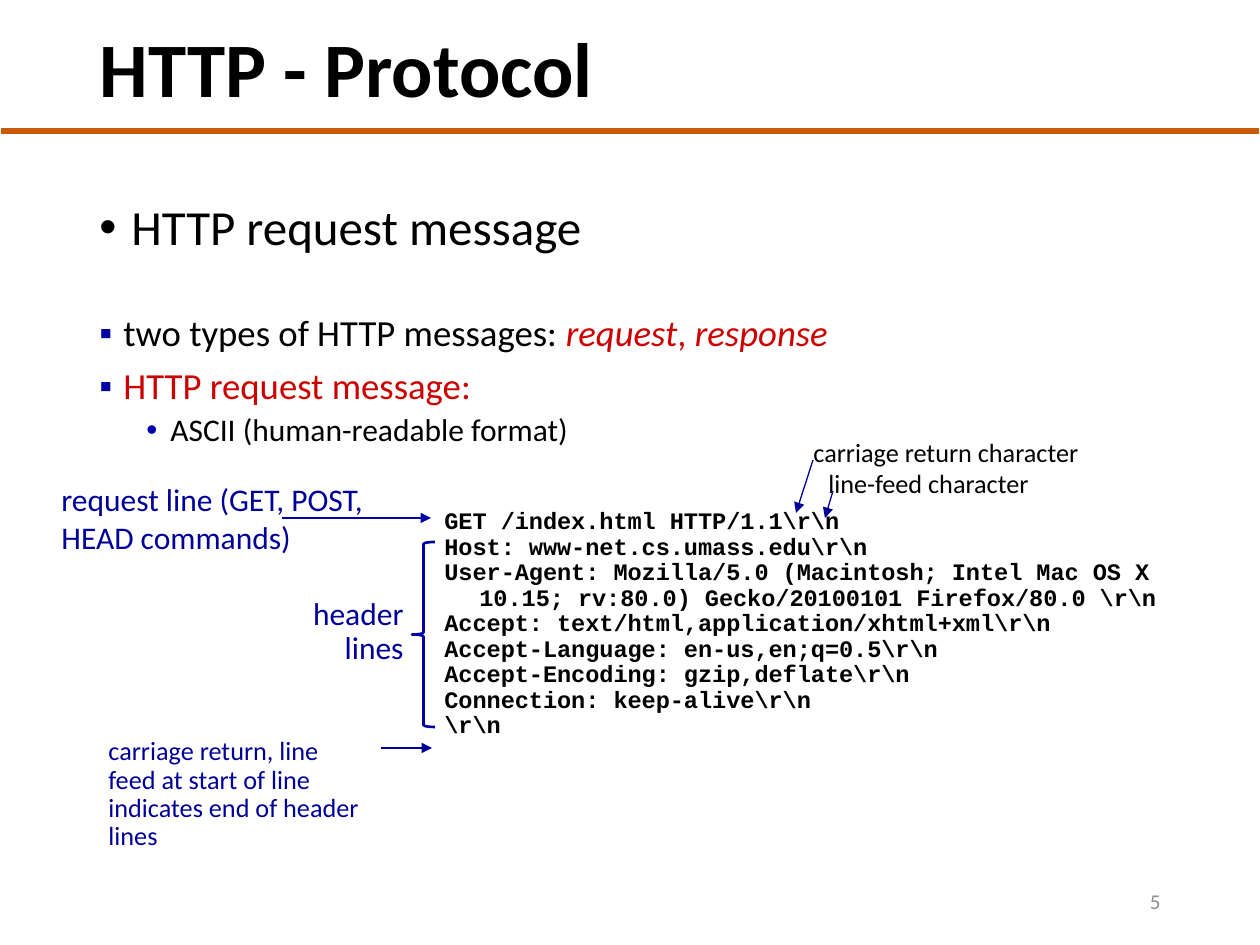
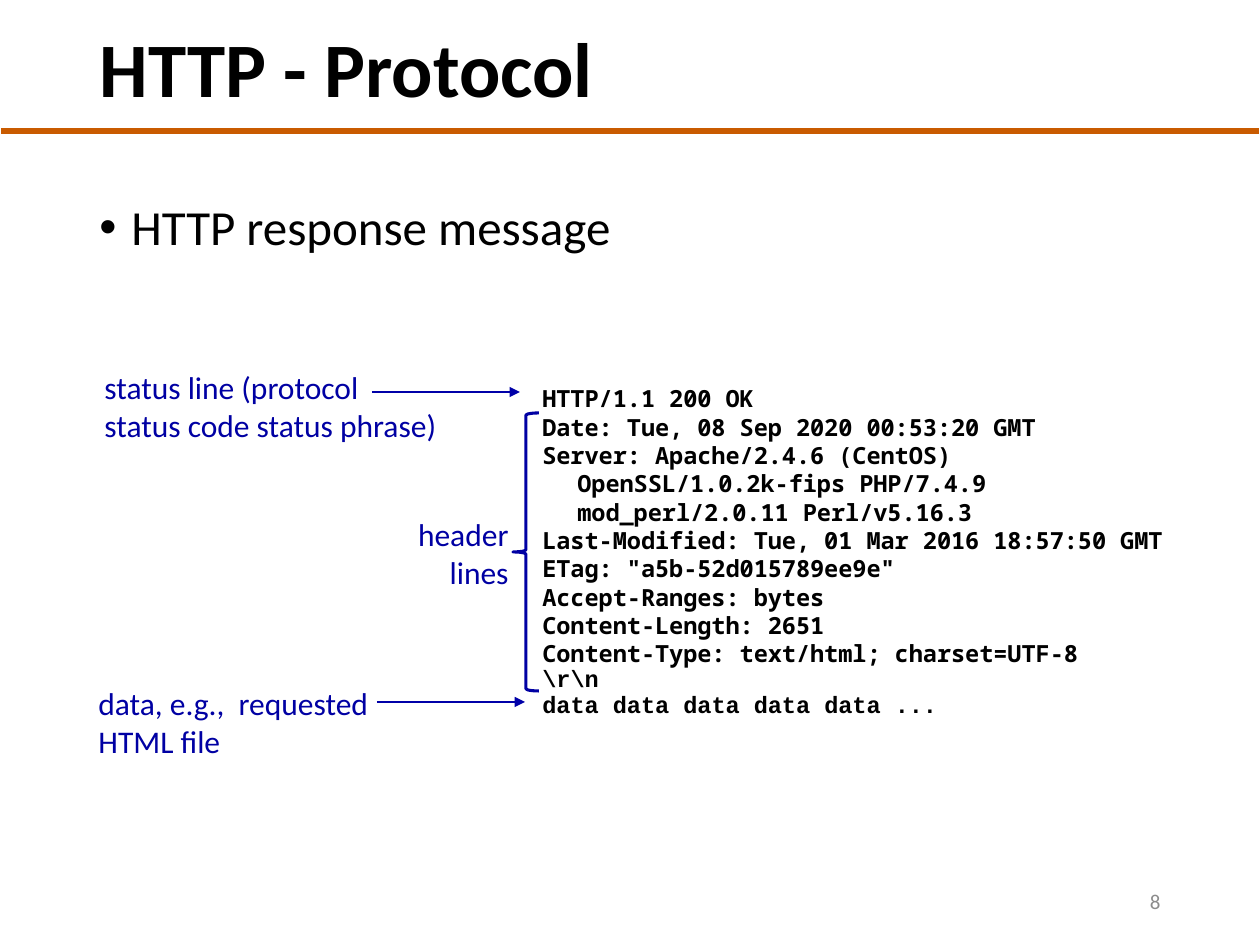
"""Build two slides that annotate HTTP request and response messages."""
from dataclasses import dataclass
from typing import NamedTuple, Optional

from lxml import etree
from pptx import Presentation
from pptx import util as u
from pptx.dml.color import RGBColor
from pptx.enum import shapes, text as t
from pptx.oxml import ns

EMU_PER_PX = 914400 / 126
PAGE_SIZE = (1260, 945)


@dataclass(frozen=True)
class Theme:
    """Colours, fonts and type sizes of the deck."""

    ink: str = "000000"
    rule: str = "C95B00"
    number: str = "8C8C8C"
    accent: str = "CC0000"
    navy: str = "000099"
    blue: str = "0000A3"
    arrow_blue: str = "0000A8"
    body_font: str = "Calibri"
    code_font: str = "Courier New"
    mono_font: str = "Noto Sans Mono"
    title: float = 44
    topic: float = 28
    point: float = 21
    label: float = 18
    note: float = 15
    code: float = 13.5
    footer: float = 12
    tight: float = 0.9


THEME = Theme()


class Area(NamedTuple):
    """A rectangle in px."""

    left: int
    top: int
    width: int
    height: int


class Arrow(NamedTuple):
    """A straight arrow between two points in px."""

    start: tuple[int, int]
    end: tuple[int, int]
    color: str = THEME.arrow_blue
    weight: float = 1.5


class Brace(NamedTuple):
    """A left brace that groups the header lines."""

    area: Area
    weight: float


class Bullet(NamedTuple):
    """A bullet sign, its colour, and the px where its text starts and hangs."""

    sign: str
    color: str
    margin: int
    hang: int


class Label(NamedTuple):
    """A coloured remark beside the message."""

    area: Area
    text: str
    color: str
    size: float = THEME.label
    spacing: float = 1.0
    align: t.PP_ALIGN = t.PP_ALIGN.LEFT
    wrap: bool = True


TOPIC_BULLET = Bullet("•", THEME.ink, 32, 32)
POINT_BULLET = Bullet("▪", THEME.blue, 24, 24)
DETAIL_BULLET = Bullet("•", THEME.arrow_blue, 71, 24)
CODE_HANG = 35

REQUEST = r"""GET /index.html HTTP/1.1\r\n
Host: www-net.cs.umass.edu\r\n
User-Agent: Mozilla/5.0 (Macintosh; Intel Mac OS X 10.15; rv:80.0) Gecko/20100101 Firefox/80.0 \r\n
Accept: text/html,application/xhtml+xml\r\n
Accept-Language: en-us,en;q=0.5\r\n
Accept-Encoding: gzip,deflate\r\n
Connection: keep-alive\r\n
\r\n"""

RESPONSE = """HTTP/1.1 200 OK
Date: Tue, 08 Sep 2020 00:53:20 GMT
Server: Apache/2.4.6 (CentOS) OpenSSL/1.0.2k-fips PHP/7.4.9 mod_perl/2.0.11 Perl/v5.16.3
Last-Modified: Tue, 01 Mar 2016 18:57:50 GMT
ETag: "a5b-52d015789ee9e"
Accept-Ranges: bytes
Content-Length: 2651
Content-Type: text/html; charset=UTF-8"""

RESPONSE_END = r"""\r\n
data data data data data ..."""

REQUEST_LABELS = (
    Label(Area(299, 592, 117, 82), "header\nlines", THEME.navy,
          spacing=THEME.tight, align=t.PP_ALIGN.RIGHT, wrap=False),
    Label(Area(801, 430, 294, 44), "carriage return character", THEME.ink,
          THEME.note, wrap=False),
    Label(Area(816, 461, 228, 44), "line-feed character", THEME.ink,
          THEME.note, wrap=False),
    Label(Area(49, 474, 333, 89), "request line (GET, POST,\nHEAD commands)",
          THEME.navy),
    Label(Area(96, 732, 286, 127),
          "carriage return, line feed at start of line indicates end of header lines",
          THEME.navy, THEME.note, THEME.tight),
)
REQUEST_ARROWS = (
    Arrow((813, 460), (796, 513), THEME.navy, 0.75),
    Arrow((833, 491), (825, 518), THEME.navy, 0.75),
    Arrow((282, 518), (431, 518)),
    Arrow((381, 748), (432, 748), THEME.navy),
)
REQUEST_BRACE = Brace(Area(412, 542, 23, 185), 1.5)

RESPONSE_LABELS = (
    Label(Area(92, 362, 420, 89),
          "status line (protocol\nstatus code status phrase)", THEME.blue),
    Label(Area(404, 509, 117, 89), "header\nlines", THEME.blue,
          align=t.PP_ALIGN.RIGHT, wrap=False),
    Label(Area(86, 678, 373, 89), "data, e.g.,  requested\nHTML file", THEME.blue),
)
RESPONSE_ARROWS = (
    Arrow((372, 392), (520, 392)),
    Arrow((377, 702), (525, 702)),
)
RESPONSE_BRACE = Brace(Area(513, 413, 26, 278), 1.75)


def px(length: float) -> u.Emu:
    """Turn px into EMU."""
    return u.Emu(round(length * EMU_PER_PX))


def add_span(para, text: str, *, size: float, color: str = THEME.ink,
             font: str = THEME.body_font, bold: bool = False,
             italic: bool = False) -> None:
    """Append one formatted run to a paragraph."""
    span = para.add_run()
    span.text = text
    span.font.name, span.font.size = font, u.Pt(size)
    span.font.bold, span.font.italic = bold, italic
    span.font.color.rgb = RGBColor.from_string(color)


def set_indent(para, margin: int, hang: int) -> None:
    """Give a paragraph a hanging indent."""
    props = para._p.get_or_add_pPr()
    props.set("marL", str(px(margin)))
    props.set("indent", str(-px(hang)))


def set_bullet(para, bullet: Bullet) -> None:
    """Give a paragraph a coloured bullet."""
    set_indent(para, bullet.margin, bullet.hang)
    props = para._p.get_or_add_pPr()
    color = etree.SubElement(props, ns.qn("a:buClr"))
    etree.SubElement(color, ns.qn("a:srgbClr"), val=bullet.color)
    etree.SubElement(props, ns.qn("a:buFont"), typeface="Arial")
    etree.SubElement(props, ns.qn("a:buChar"), char=bullet.sign)


def write(frame, text: str, *, spacing: float = 1.0, before: float = 0,
          align: t.PP_ALIGN = t.PP_ALIGN.LEFT, hang: int = 0,
          bullet: Optional[Bullet] = None, **span_format):
    """Write each line as a paragraph and return the last one."""
    for line in text.split("\n"):
        para = frame.paragraphs[0]
        if para.runs:
            para = frame.add_paragraph()
        if bullet:
            set_bullet(para, bullet)
        elif hang:
            set_indent(para, hang, hang)
        para.alignment, para.line_spacing = align, spacing
        para.space_before = u.Pt(before)
        add_span(para, line, **span_format)
    return para


def add_frame(page, area: Area, *, wrap: bool = True,
              anchor: t.MSO_ANCHOR = t.MSO_ANCHOR.TOP):
    """Add a text box and return its text frame."""
    frame = page.shapes.add_textbox(*map(px, area)).text_frame
    frame.word_wrap, frame.vertical_anchor = wrap, anchor
    return frame


def add_line(page, line: Arrow, *, head: bool = True) -> None:
    """Draw a straight line, with an arrowhead at its end if asked."""
    connector = page.shapes.add_connector(
        shapes.MSO_CONNECTOR.STRAIGHT, *map(px, line.start + line.end))
    connector.line.color.rgb = RGBColor.from_string(line.color)
    connector.line.width = u.Pt(line.weight)
    if head:
        etree.SubElement(connector.line._get_or_add_ln(), ns.qn("a:tailEnd"),
                         type="triangle")
    etree.SubElement(connector._element.spPr, ns.qn("a:effectLst"))


def add_brace(page, brace: Brace) -> None:
    """Draw the brace around the header lines."""
    shape = page.shapes.add_shape(shapes.MSO_SHAPE.LEFT_BRACE, *map(px, brace.area))
    shape.shadow.inherit = False
    shape.fill.background()
    shape.line.color.rgb = RGBColor.from_string(THEME.blue)
    shape.line.width = u.Pt(brace.weight)


def add_label(page, label: Label) -> None:
    """Add a remark beside the message."""
    write(add_frame(page, label.area, wrap=label.wrap), label.text,
          size=label.size, color=label.color, spacing=label.spacing,
          align=label.align)


def annotate(page, labels: tuple[Label, ...], arrows: tuple[Arrow, ...],
             brace: Brace) -> None:
    """Add the remarks, arrows and brace around a message."""
    for label in labels:
        add_label(page, label)
    for arrow in arrows:
        add_line(page, arrow)
    add_brace(page, brace)


def add_page(deck, topic: str, number: int):
    """Add a slide with the title, rule, topic and page number."""
    page = deck.slides.add_slide(deck.slide_layouts[5])
    add_line(page, Arrow((1, 131), (1259, 131), THEME.rule, 3), head=False)
    title = page.shapes.title
    title.left, title.top, title.width, title.height = map(px, Area(87, 19, 999, 107))
    title.text_frame.auto_size = t.MSO_AUTO_SIZE.NONE
    title.text_frame.vertical_anchor = t.MSO_ANCHOR.MIDDLE
    write(title.text_frame, "HTTP - Protocol", size=THEME.title, bold=True,
          spacing=THEME.tight)
    write(add_frame(page, Area(87, 197, 1149, 96)), topic, size=THEME.topic,
          spacing=THEME.tight, bullet=TOPIC_BULLET)
    footer = add_frame(page, Area(890, 876, 283, 50), anchor=t.MSO_ANCHOR.MIDDLE)
    write(footer, str(number), size=THEME.footer, color=THEME.number,
          align=t.PP_ALIGN.RIGHT)
    return page


def build_request(deck) -> None:
    """Build the request message slide."""
    page = add_page(deck, "HTTP request message", 5)
    points = add_frame(page, Area(87, 309, 1066, 147))
    para = write(points, "two types of HTTP messages: ", size=THEME.point,
                 spacing=THEME.tight, bullet=POINT_BULLET)
    for words, italic in (("request", True), (", ", False), ("response", True)):
        add_span(para, words, size=THEME.point, color=THEME.accent, italic=italic)
    write(points, "HTTP request message:", size=THEME.point, color=THEME.accent,
          spacing=THEME.tight, before=7.5, bullet=POINT_BULLET)
    detail = write(points, "ASCII (human-readable format)", size=THEME.label,
                   spacing=THEME.tight, before=3.8, bullet=DETAIL_BULLET)
    detail.level = 1
    write(add_frame(page, Area(432, 503, 819, 246)), REQUEST, size=THEME.code,
          font=THEME.code_font, bold=True, spacing=THEME.tight, hang=CODE_HANG)
    annotate(page, REQUEST_LABELS, REQUEST_ARROWS, REQUEST_BRACE)


def build_response(deck) -> None:
    """Build the response message slide."""
    page = add_page(deck, "HTTP response message", 8)
    message = add_frame(page, Area(530, 378, 653, 352))
    for lines, font, spacing in ((RESPONSE, THEME.mono_font, 1.0),
                                 (RESPONSE_END, THEME.code_font, THEME.tight)):
        write(message, lines, size=THEME.code, font=font, bold=True,
              spacing=spacing, hang=CODE_HANG)
    annotate(page, RESPONSE_LABELS, RESPONSE_ARROWS, RESPONSE_BRACE)


def main() -> None:
    """Build and save the deck."""
    deck = Presentation()
    deck.slide_width, deck.slide_height = map(px, PAGE_SIZE)
    build_request(deck)
    build_response(deck)
    deck.save("out.pptx")


if __name__ == "__main__":
    main()
